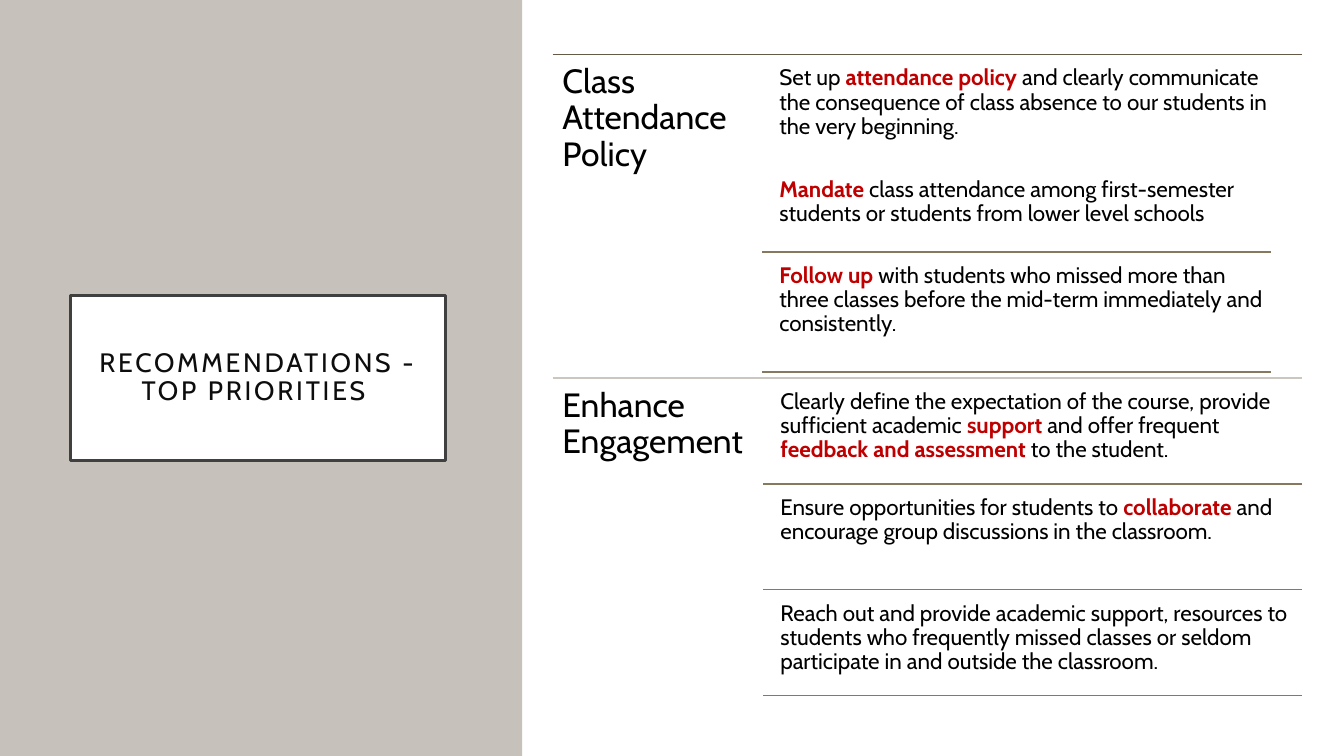
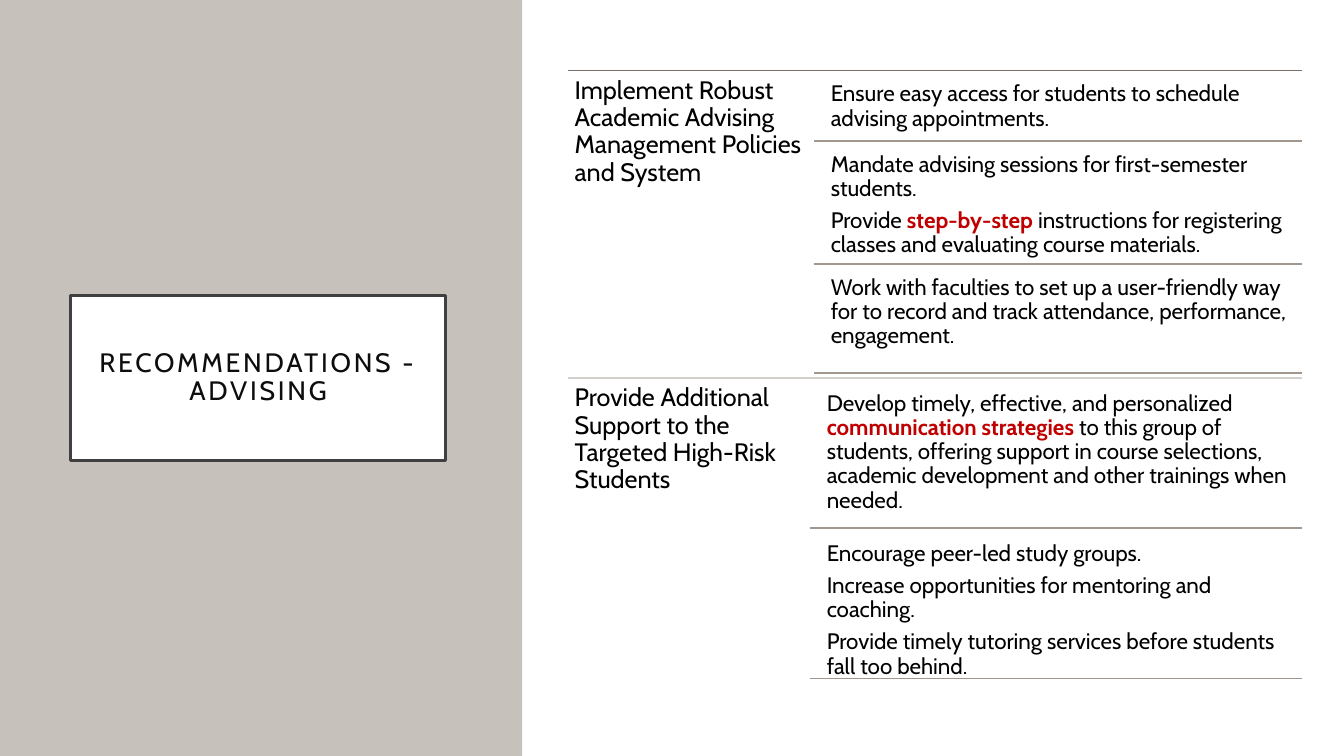
from lxml import etree
from pptx import Presentation
from pptx.dml.color import RGBColor
from pptx.enum.shapes import MSO_CONNECTOR, MSO_SHAPE
from pptx.enum.text import MSO_ANCHOR, MSO_AUTO_SIZE, PP_ALIGN
from pptx.oxml.ns import qn
from pptx.util import Inches, Pt

WIDTH, HEIGHT = 13.33, 7.5
BAND_WIDTH, PANEL_LEFT = 5.18, 5.2
RIGHT_EDGE = 12.91
TEXT_INDENT = 0.1
FONT = "Cabin"
WHITE, BAND, FRAME, TITLE_INK = "FFFFFF", "C6C1BA", "404040", "0D0D0D"
INK, ACCENT = "000000", "C00000"

# Each section fills one half of the slide's height around the middle.
# Row: (height, right edge of text, space after paragraphs, paragraphs).
# Text between asterisks is emphasised.
SLIDES = [
    {
        "title": "RECOMMENDATIONS - TOP PRIORITIES ",
        "left": 5.48, "section_height": 3.21,
        "label_width": 2.08, "label_size": 24, "label_inset": 0.1,
        "section_rules": ["645A45", "CBC7C0"], "row_rule": "87795D",
        "sections": [
            {"label": "Class Attendance Policy",
             "column": 7.56, "rule_end": 12.61, "gap": 0.05,
             "rows": [
                 (1.96, RIGHT_EDGE, 28, [
                     "Set up *attendance policy *and clearly communicate the consequence "
                     "of class absence to our students in the very beginning.",
                     "*Mandate* class attendance among first-semester students or "
                     "students from lower level schools"]),
                 (1.19, 12.61, 5.6, [
                     "*Follow up *with students who missed more than three classes "
                     "before the mid-term immediately and consistently."]),
             ]},
            {"label": "Enhance Engagement",
             "column": 7.57, "rule_end": RIGHT_EDGE, "gap": 0.05,
             "rows": [
                 (1.05, RIGHT_EDGE, 5.6, [
                     "Clearly define the expectation of the course, provide sufficient "
                     "academic *support* and offer frequent *feedback and assessment *"
                     "to the student."]),
                 (1.05, RIGHT_EDGE, 5.6, [
                     "Ensure opportunities for students to *collaborate* and encourage "
                     "group discussions in the classroom."]),
                 (1.05, RIGHT_EDGE, 5.6, [
                     "Reach out and provide academic support, resources to students who "
                     "frequently missed classes or seldom participate in and outside "
                     "the classroom."]),
             ]},
        ],
    },
    {
        "title": "RECOMMENDATIONS - ADVISING",
        "left": 5.63, "section_height": 3.05,
        "label_width": 2.44, "label_size": 18, "label_inset": 0.07,
        "section_rules": ["767068", "D4D1CD"], "row_rule": "A0988C",
        "sections": [
            {"label": "Implement Robust Academic Advising Management Policies and System",
             "column": 8.07, "rule_end": RIGHT_EDGE, "gap": 0.05,
             "rows": [
                 (0.7, RIGHT_EDGE, 5.6, [
                     "Ensure easy access for students to schedule advising appointments."]),
                 (1.22, RIGHT_EDGE, 5.6, [
                     "Mandate advising sessions for first-semester students.",
                     "Provide *step-by-step* instructions for registering classes and "
                     "evaluating course materials."]),
                 (1.08, RIGHT_EDGE, 5.6, [
                     "Work with faculties to set up a user-friendly way for to record and "
                     "track attendance, performance, engagement."]),
             ]},
            {"label": "Provide Additional Support to the Targeted High-Risk Students",
             "column": 8.03, "rule_end": RIGHT_EDGE, "gap": 0.07,
             "rows": [
                 (1.49, RIGHT_EDGE, 5.6, [
                     "Develop timely, effective, and personalized *communication "
                     "strategies *to this group of students, offering support in course "
                     "selections, academic development and other trainings when needed."]),
                 (1.49, RIGHT_EDGE, 5.6, [
                     "Encourage peer-led study groups.",
                     "Increase opportunities for mentoring and coaching.",
                     "Provide timely tutoring services before students fall too behind."]),
             ]},
        ],
    },
]


def write(shape, paragraphs, size=16, color=INK, inset=0.07, after=5.6,
          align=PP_ALIGN.LEFT, anchor=MSO_ANCHOR.TOP, tracking=0):
    """Fill a shape with paragraphs; text between asterisks is bold and accented."""
    frame = shape.text_frame
    frame.word_wrap = True
    frame.auto_size = MSO_AUTO_SIZE.NONE
    frame.vertical_anchor = anchor
    frame.margin_left = frame.margin_right = Inches(inset)
    frame.margin_top = frame.margin_bottom = Inches(inset)
    for index, text in enumerate(paragraphs):
        paragraph = frame.add_paragraph() if index else frame.paragraphs[0]
        paragraph.alignment = align
        paragraph.line_spacing = 0.9
        paragraph.space_after = Pt(after)
        for part, words in enumerate(text.split("*")):
            if not words:
                continue
            emphasised = part % 2 == 1
            run = paragraph.add_run()
            run.text = words
            run.font.name = FONT
            run.font.size = Pt(size)
            run.font.bold = emphasised
            run.font.color.rgb = RGBColor.from_string(ACCENT if emphasised else color)
            if tracking:
                run.font._element.set("spc", str(tracking * 100))


def add_rule(slide, start, end, y, color):
    rule = slide.shapes.add_connector(
        MSO_CONNECTOR.STRAIGHT, Inches(start), Inches(y), Inches(end), Inches(y))
    rule.line.color.rgb = RGBColor.from_string(color)
    rule.line.width = Pt(1)
    etree.SubElement(rule.element.spPr, qn("a:effectLst"))


deck = Presentation()
deck.slide_width, deck.slide_height = Inches(WIDTH), Inches(HEIGHT)

for content in SLIDES:
    slide = deck.slides.add_slide(deck.slide_layouts[5])
    title = slide.shapes.title

    for left, right, color in [(0, BAND_WIDTH, BAND), (PANEL_LEFT, WIDTH, WHITE)]:
        area = slide.shapes.add_shape(
            MSO_SHAPE.RECTANGLE, Inches(left), 0, Inches(right - left), Inches(HEIGHT))
        area.shadow.inherit = False
        area.fill.solid()
        area.fill.fore_color.rgb = RGBColor.from_string(color)
        area.line.fill.background()
    area.element.addnext(title.element)

    title.left, title.top = Inches(0.7), Inches(2.93)
    title.width, title.height = Inches(3.72), Inches(1.64)
    title.fill.solid()
    title.fill.fore_color.rgb = RGBColor.from_string(WHITE)
    title.line.color.rgb = RGBColor.from_string(FRAME)
    title.line.width = Pt(2.5)
    write(title, [content["title"]], size=19, color=TITLE_INK, inset=0.2, after=0,
          align=PP_ALIGN.CENTER, anchor=MSO_ANCHOR.MIDDLE, tracking=2)

    section_top = HEIGHT / 2 - content["section_height"]
    for section, section_rule in zip(content["sections"], content["section_rules"]):
        add_rule(slide, content["left"], RIGHT_EDGE, section_top, section_rule)
        label = slide.shapes.add_textbox(
            Inches(content["left"]), Inches(section_top),
            Inches(content["label_width"]), Inches(content["section_height"]))
        write(label, [section["label"]], size=content["label_size"],
              inset=content["label_inset"])

        row_top = section_top
        text_left = section["column"] + TEXT_INDENT
        for row_height, text_right, after, paragraphs in section["rows"]:
            advice = slide.shapes.add_textbox(
                Inches(text_left), Inches(row_top + section["gap"]),
                Inches(text_right - text_left), Inches(row_height - section["gap"]))
            write(advice, paragraphs, after=after)
            row_top += row_height
            add_rule(slide, section["column"], section["rule_end"], row_top,
                     content["row_rule"])
        section_top += content["section_height"]

deck.save("out.pptx")
